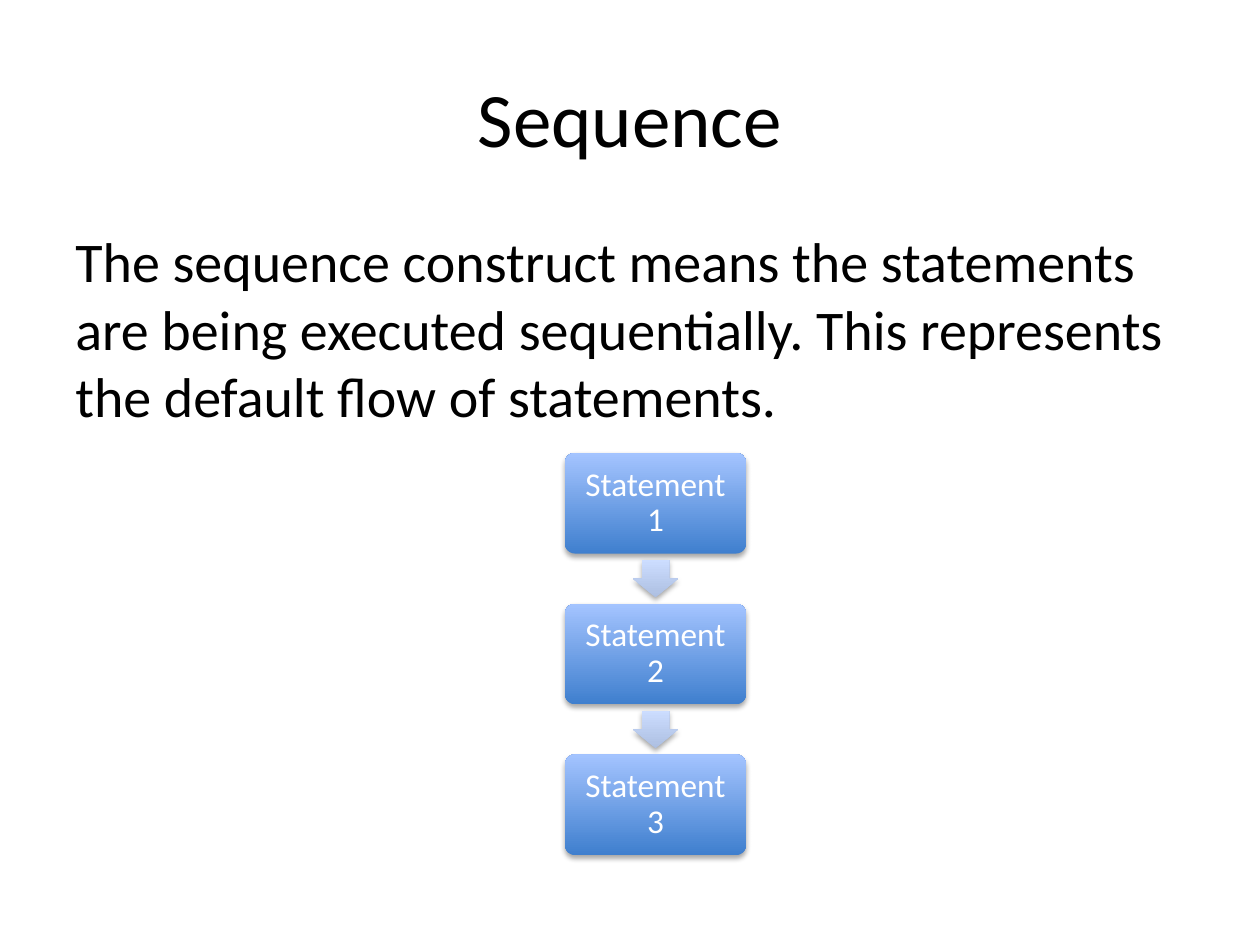
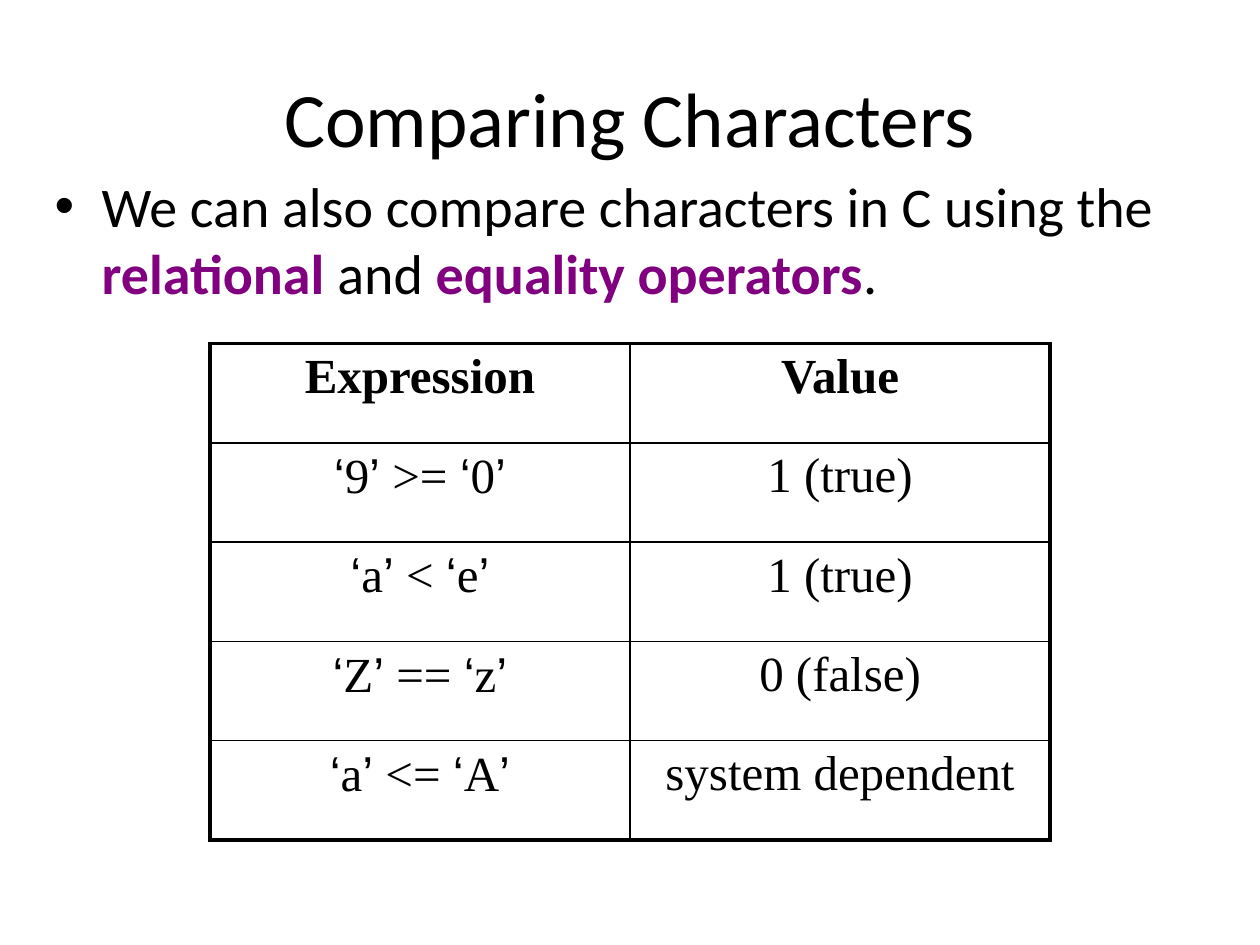
"""Builds two slides on program flow: a statement sequence and character comparison."""
from itertools import groupby

from lxml import etree
from pptx import Presentation
from pptx.dml.color import RGBColor
from pptx.enum.shapes import MSO_SHAPE
from pptx.enum.text import MSO_ANCHOR, PP_ALIGN
from pptx.oxml.ns import qn
from pptx.util import Cm, Pt

ROUNDED = MSO_SHAPE.ROUNDED_RECTANGLE
RIGHT_ARROW = MSO_SHAPE.RIGHT_ARROW
TOP, MIDDLE = MSO_ANCHOR.TOP, MSO_ANCHOR.MIDDLE
LEFT, CENTER = PP_ALIGN.LEFT, PP_ALIGN.CENTER

BLACK = RGBColor(0x00, 0x00, 0x00)
WHITE = RGBColor(0xFF, 0xFF, 0xFF)
PURPLE = RGBColor(0x80, 0x00, 0x80)
BOX_COLORS = (RGBColor(0x3F, 0x7F, 0xCE), RGBColor(0xA4, 0xC4, 0xFF))
ARROW_COLORS = (RGBColor(0xAD, 0xBF, 0xE1), RGBColor(0xCC, 0xDD, 0xFF))

BODY_FONT = "Calibri"
TABLE_FONT = "Times New Roman"
QUOTE_FONT = "Arial"
QUOTES = "‘’"
BLANK_LAYOUT = 6


def add_element(parent, tag, **attributes):
    values = {name: str(value) for name, value in attributes.items()}
    return etree.SubElement(parent, qn(tag), values)


def write_text(frame, runs, size, font=BODY_FONT, color=BLACK, bold=False,
               align=LEFT, anchor=TOP, line_spacing=None, bullet_indent=None):
    """Fill a text frame from a string or from (text, format overrides) pairs."""
    frame.word_wrap = True
    frame.vertical_anchor = anchor
    paragraph = frame.paragraphs[0]
    paragraph.alignment = align
    if line_spacing:
        paragraph.line_spacing = line_spacing
    if bullet_indent:
        properties = paragraph._p.get_or_add_pPr()
        properties.set("marL", str(bullet_indent))
        properties.set("indent", str(-bullet_indent))
        add_element(properties, "a:buFont", typeface="Arial")
        add_element(properties, "a:buChar", char="•")
    for text, overrides in [(runs, {})] if isinstance(runs, str) else runs:
        run = paragraph.add_run()
        run.text = text
        run.font.size = Pt(size)
        run.font.name = overrides.get("font", font)
        run.font.bold = overrides.get("bold", bold)
        run.font.color.rgb = overrides.get("color", color)


def quote_runs(text):
    return [("".join(characters), {"font": QUOTE_FONT if quoted else TABLE_FONT})
            for quoted, characters in groupby(text, lambda character: character in QUOTES)]


class Deck:
    """Holds the presentation style and the current slide."""

    def __init__(self):
        self.presentation = Presentation()
        self.presentation.slide_width = Cm(25.4)
        self.presentation.slide_height = Cm(19.05)
        self.slide = None

    def add_slide(self, title):
        layout = self.presentation.slide_layouts[BLANK_LAYOUT]
        self.slide = self.presentation.slides.add_slide(layout)
        self.add_text(title, 1.27, 0.76, 22.86, 3.18, size=44, align=CENTER, anchor=MIDDLE)

    def add_text(self, runs, left, top, width, height, **text_format):
        box = self.slide.shapes.add_textbox(Cm(left), Cm(top), Cm(width), Cm(height))
        write_text(box.text_frame, runs, **text_format)

    def add_gradient_shape(self, kind, left, top, width, height, colors, adjustments, rotation=0):
        shape = self.slide.shapes.add_shape(kind, Cm(left), Cm(top), Cm(width), Cm(height))
        shape.rotation = rotation
        for index, value in enumerate(adjustments):
            shape.adjustments[index] = value
        shape.fill.gradient()
        shape.fill.gradient_angle = 90 + rotation
        for position, (stop, color) in enumerate(zip(shape.fill.gradient_stops, colors)):
            stop.position = position
            stop.color.rgb = color
        shape.line.fill.background()
        shape.shadow.inherit = False
        effects = shape._element.spPr.find(qn("a:effectLst"))
        shadow = add_element(effects, "a:outerShdw", blurRad=Pt(3.1), dist=Pt(1.8),
                             dir=90 * 60000, rotWithShape=0)
        shadow_color = add_element(shadow, "a:srgbClr", val=BLACK)
        add_element(shadow_color, "a:alpha", val=35000)
        return shape

    def add_statement(self, text, left, top, width, height):
        shape = self.add_gradient_shape(ROUNDED, left, top, width, height, BOX_COLORS, [0.1])
        frame = shape.text_frame
        frame.margin_left = frame.margin_right = Cm(0.2)
        frame.margin_top = frame.margin_bottom = Cm(0.2)
        write_text(frame, text, size=19, color=WHITE, align=CENTER, anchor=MIDDLE,
                   line_spacing=0.9)

    def add_down_arrow(self, center_x, center_y, length, breadth):
        self.add_gradient_shape(RIGHT_ARROW, center_x - length / 2, center_y - breadth / 2,
                                length, breadth, ARROW_COLORS, [0.6, 0.5], rotation=90)

    def add_table(self, rows, left, top, column_width, row_height):
        row_count, column_count = len(rows), len(rows[0])
        table = self.slide.shapes.add_table(
            row_count, column_count, Cm(left), Cm(top),
            Cm(column_width * column_count), Cm(row_height * row_count)).table
        table.first_row = table.horz_banding = False
        for row_index, row in enumerate(rows):
            table.rows[row_index].height = Cm(row_height)
            for column_index, text in enumerate(row):
                cell = table.cell(row_index, column_index)
                write_text(cell.text_frame, quote_runs(text), size=28,
                           bold=row_index == 0, align=CENTER)
                self.add_borders(cell, {
                    "a:lnL": column_index == 0,
                    "a:lnR": column_index == column_count - 1,
                    "a:lnT": row_index == 0,
                    "a:lnB": row_index == row_count - 1,
                })
                cell.fill.background()

    def add_borders(self, cell, outer_edges):
        properties = cell._tc.get_or_add_tcPr()
        for tag, is_outer in outer_edges.items():
            line = add_element(properties, tag, w=Pt(2.25 if is_outer else 1))
            fill = add_element(line, "a:solidFill")
            add_element(fill, "a:srgbClr", val=BLACK)


def build_sequence(deck):
    deck.add_slide("Sequence")
    deck.add_text("The sequence construct means the statements are being executed "
                  "sequentially. This represents the default flow of statements.",
                  1.27, 4.45, 22.86, 12.57, size=32)
    left, first_top, width, height, pitch = 11.39, 9.13, 3.65, 2.03, 3.04
    count = 3
    for index in range(count):
        top = first_top + index * pitch
        deck.add_statement(f"Statement {index + 1}", left, top, width, height)
        if index < count - 1:
            deck.add_down_arrow(left + width / 2, top + (height + pitch) / 2, 0.76, 0.91)


def build_comparison(deck):
    deck.add_slide("Comparing Characters")
    emphasis = {"color": PURPLE, "bold": True}
    deck.add_text([("We can also compare characters in C using the ", {}),
                   ("relational", emphasis), (" and ", {}),
                   ("equality operators", emphasis), (".", {})],
                  0.85, 3.33, 23.71, 4.09, size=32, bullet_indent=Cm(0.95))
    deck.add_table([("Expression", "Value"),
                    ("‘9’ >= ‘0’", "1 (true)"),
                    ("‘a’ < ‘e’", "1 (true)"),
                    ("‘Z’ == ‘z’", "0 (false)"),
                    ("‘a’ <= ‘A’", "system dependent")],
                   4.23, 6.93, column_width=8.47, row_height=2)


def main():
    deck = Deck()
    build_sequence(deck)
    build_comparison(deck)
    deck.presentation.save("out.pptx")


if __name__ == "__main__":
    main()
